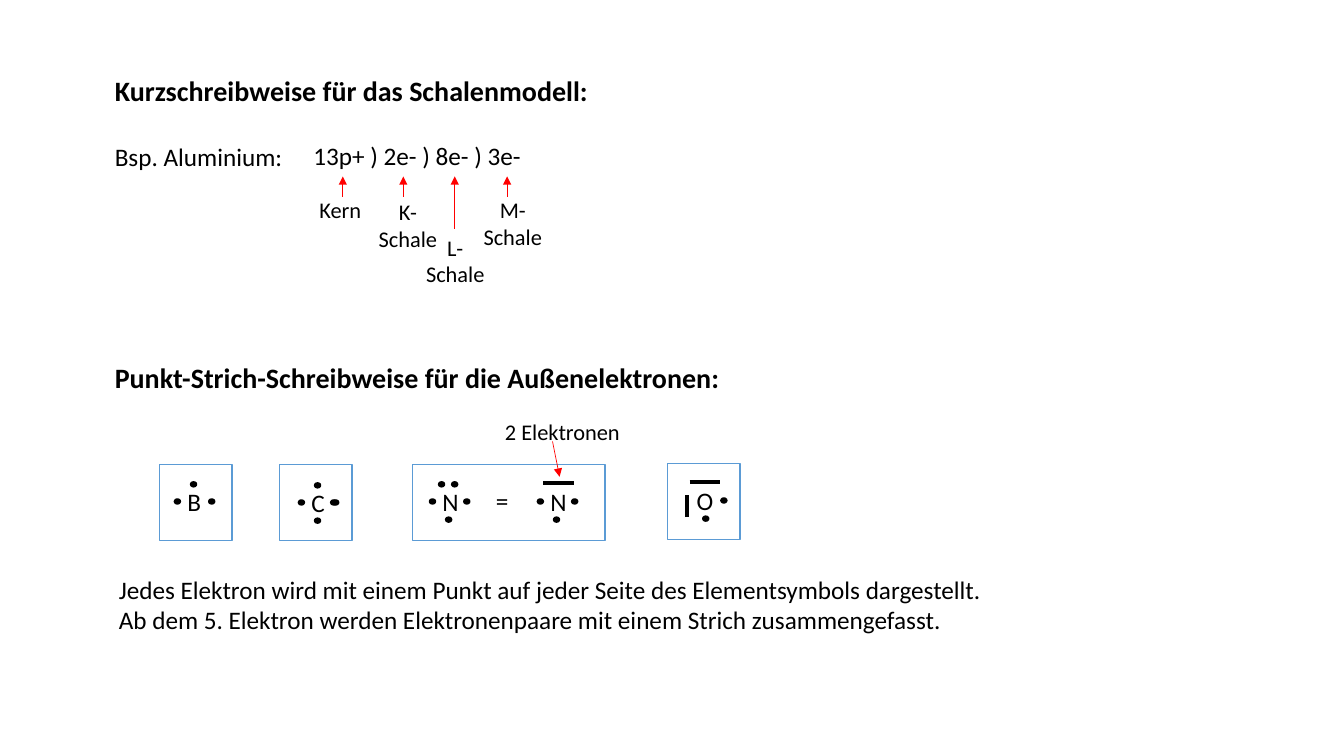
from dataclasses import dataclass

import lxml.etree
import pptx
import pptx.dml.color
import pptx.enum.shapes
import pptx.enum.text
import pptx.oxml.ns
import pptx.util

Inches = pptx.util.Inches
Pt = pptx.util.Pt
qn = pptx.oxml.ns.qn
Shape = pptx.enum.shapes.MSO_SHAPE


@dataclass(frozen=True)
class Theme:
    font: str = "Calibri"
    ink: str = "000000"
    arrow: str = "FF0000"
    frame: str = "5B9BD5"
    head: int = 20
    body: int = 18
    label: int = 16
    thin: float = 0.5
    edge: float = 1
    thick: float = 3


SPOTS = {
    "top": (0.13, 0),
    "right": (0.31, 0.17),
    "twin": (0.29, 0.17),
    "left": (-0.03, 0.17),
    "bottom": (0.13, 0.35),
    "pair a": (0.06, 0),
    "pair b": (0.19, 0),
}
BARS = {
    "top": (0.03, 0.01, 0.33, 0.01),
    "left": (0, 0.36, 0, 0.14),
}


def tint(code):
    return pptx.dml.color.RGBColor.from_string(code)


def style(frame, text, size, font, color, bold=False, center=False):
    frame.word_wrap = True
    frame.auto_size = pptx.enum.text.MSO_AUTO_SIZE.SHAPE_TO_FIT_TEXT
    frame.text = text
    for para in frame.paragraphs:
        if center:
            para.alignment = pptx.enum.text.PP_ALIGN.CENTER
        para.font.name = font
        para.font.size = Pt(size)
        para.font.bold = bold
        para.font.color.rgb = tint(color)


class Board:
    def __init__(self, slide, theme):
        self.slide = slide
        self.theme = theme

    def text(self, text, x, y, w, h, size=None, **form):
        box = self.slide.shapes.add_textbox(*map(Inches, (x, y, w, h)))
        style(box.text_frame, text, size or self.theme.body,
              self.theme.font, self.theme.ink, **form)

    def shape(self, kind, x, y, w, h, line, fill=None):
        item = self.slide.shapes.add_shape(kind, *map(Inches, (x, y, w, h)))
        item.shadow.inherit = False
        if fill:
            item.fill.solid()
            item.fill.fore_color.rgb = tint(fill)
        else:
            item.fill.background()
        item.line.color.rgb = tint(line)
        item.line.width = Pt(self.theme.edge)

    def line(self, x1, y1, x2, y2, color, width, arrow=False):
        kind = pptx.enum.shapes.MSO_CONNECTOR.STRAIGHT
        item = self.slide.shapes.add_connector(
            kind, *map(Inches, (x1, y1, x2, y2)))
        item.line.color.rgb = tint(color)
        item.line.width = Pt(width)
        props = item.element.spPr
        if arrow:
            lxml.etree.SubElement(
                props.find(qn("a:ln")), qn("a:tailEnd"), type="triangle")
        lxml.etree.SubElement(props, qn("a:effectLst"))

    def arrow(self, x1, y1, x2, y2):
        self.line(x1, y1, x2, y2, self.theme.arrow, self.theme.thin, True)

    def frame(self, x, y, w):
        self.shape(Shape.RECTANGLE, x, y, w, 0.75, self.theme.frame)

    def atom(self, symbol, x, y, dots, bars=(), shift=0):
        ink = self.theme.ink
        self.text(symbol, x, y, 0.38, 0.4)
        for side in dots:
            dx, dy = SPOTS[side]
            self.shape(Shape.OVAL, x + dx + shift, y + dy, 0.06, 0.05, ink, ink)
        for side in bars:
            x1, y1, x2, y2 = BARS[side]
            self.line(x + x1, y + y1, x + x2, y + y2, ink, self.theme.thick)


def main():
    deck = pptx.Presentation()
    deck.slide_width = Inches(13.33)
    deck.slide_height = Inches(7.5)
    theme = Theme()
    board = Board(deck.slides.add_slide(deck.slide_layouts[6]), theme)

    for text, y in (
        ("Kurzschreibweise für das Schalenmodell:", 0.68),
        ("Punkt-Strich-Schreibweise für die Außenelektronen:", 3.53),
    ):
        board.text(text, 1.04, y, 8.08, 0.44, theme.head, bold=True)

    board.text("Bsp. Aluminium:", 1.04, 1.35, 1.98, 0.4)
    board.text("13p+ ) 2e- ) 8e- ) 3e-", 3.01, 1.34, 2.49, 0.4)
    board.text("Kern", 3.07, 1.9, 0.66, 0.37, theme.label)
    for shell, x, y in (("K", 3.65, 1.92), ("L", 4.12, 2.27), ("M", 4.69, 1.9)):
        board.text(f"{shell}-Schale", x, y, 0.79, 0.64, theme.label, center=True)
    for x, y in ((3.4, 1.95), (4, 1.95), (4.51, 2.27), (5.03, 1.95)):
        board.arrow(x, y, x, 1.75)

    for x, y, w in (
        (1.58, 4.61, 0.72), (2.77, 4.61, 0.72),
        (4.09, 4.61, 1.91), (6.62, 4.6, 0.72),
    ):
        board.frame(x, y, w)
    sides = ("right", "left", "bottom")
    board.atom("B", 1.76, 4.78, ("top", "right", "left"))
    board.atom("C", 2.99, 4.79, ("top", "twin", *sides))
    board.atom("N", 4.29, 4.78, ("pair a", "pair b", *sides))
    board.text("=", 4.82, 4.77, 0.32, 0.4)
    board.atom("N", 5.36, 4.78, sides, ("top",))
    board.atom("O", 6.81, 4.77, ("right", "bottom"), ("top", "left"), 0.03)
    board.text("2 Elektronen", 4.91, 4.1, 1.52, 0.37, theme.label)
    board.arrow(5.48, 4.38, 5.55, 4.73)

    board.text(
        "Jedes Elektron wird mit einem Punkt auf jeder Seite des "
        "Elementsymbols dargestellt.\n"
        "Ab dem 5. Elektron werden Elektronenpaare mit einem Strich "
        "zusammengefasst.",
        1.08, 5.65, 9.18, 0.71)
    deck.save("out.pptx")


if __name__ == "__main__":
    main()
